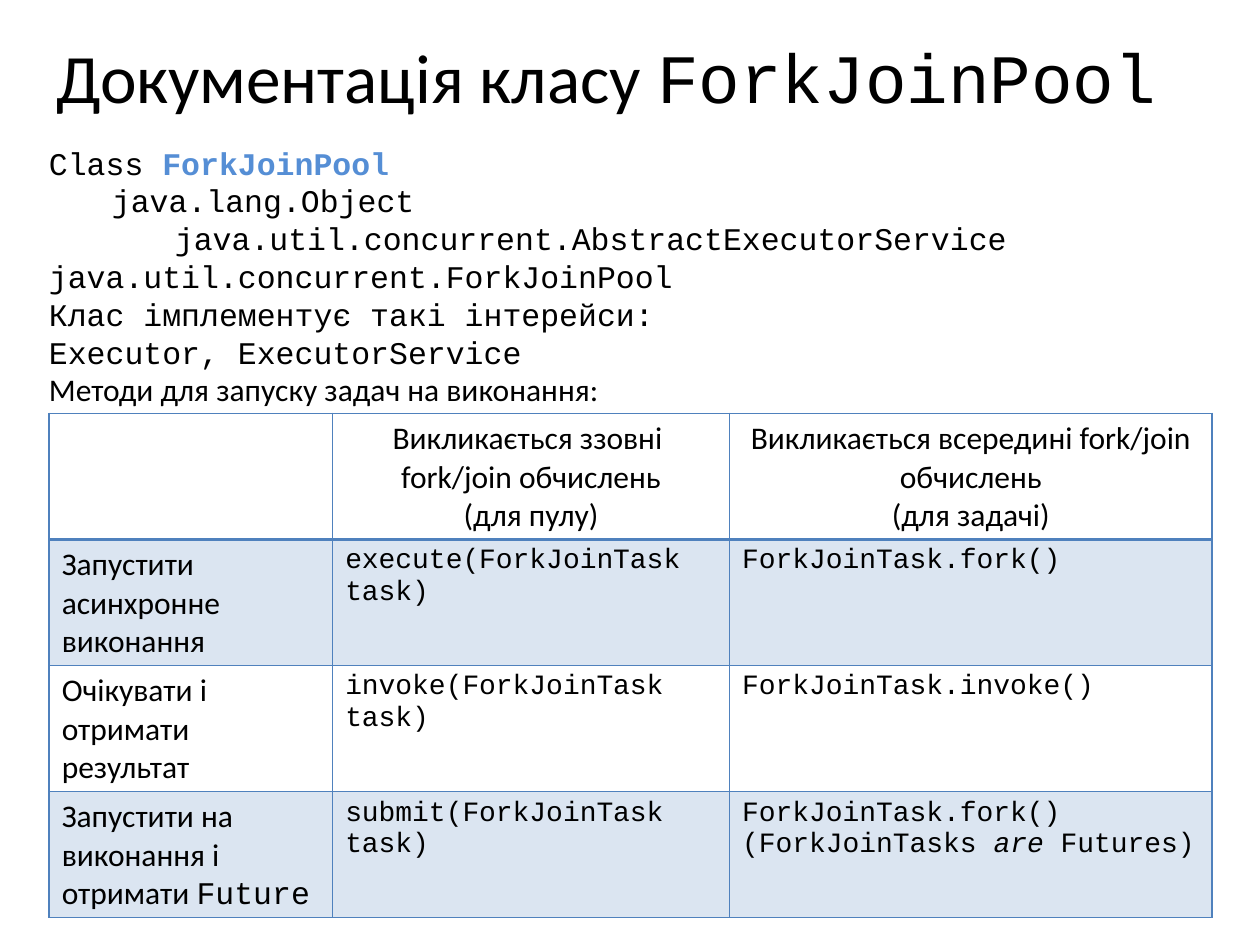
from dataclasses import dataclass

from lxml import etree
from pptx import Presentation
from pptx.dml.color import RGBColor
from pptx.enum import text
from pptx.oxml import ns
from pptx.util import Inches, Pt

SANS, MONO = "Calibri", "Courier New"
BLACK, SKY, BLUE = "000000", "558ED5", "4F81BD"
LEFT, CENTER = text.PP_ALIGN.LEFT, text.PP_ALIGN.CENTER
WIDTH, HEIGHT = 10, 7.5


@dataclass(frozen=True)
class Span:
    words: str
    face: str = MONO
    color: str = BLACK
    bold: bool = False
    italic: bool = False


@dataclass(frozen=True)
class Line:
    spans: tuple[Span, ...]
    size: float = 18
    align: text.PP_ALIGN = LEFT
    pitch: float | None = None


def rgb(color: str) -> RGBColor:
    return RGBColor.from_string(color)


def style(font, span: Span) -> None:
    font.name = span.face
    font.color.rgb = rgb(span.color)
    font.bold = span.bold
    font.italic = span.italic


def write(frame, lines: list[Line]) -> None:
    frame.word_wrap = True
    for index, line in enumerate(lines):
        paragraph = frame.add_paragraph() if index else frame.paragraphs[0]
        paragraph.alignment = line.align
        paragraph.font.size = Pt(line.size)
        if line.pitch:
            paragraph.line_spacing = Pt(line.pitch)
        for span in line.spans:
            run = paragraph.add_run()
            run.text = span.words
            style(paragraph.font if len(line.spans) == 1 else run.font, span)


def write_box(slide, left: float, top: float, width: float, height: float,
              lines: list[Line], anchor=text.MSO_ANCHOR.TOP) -> None:
    box = slide.shapes.add_textbox(*map(Inches, (left, top, width, height)))
    box.text_frame.vertical_anchor = anchor
    write(box.text_frame, lines)


def rule_cell(cell, bottom: float, top: float) -> None:
    properties = cell._tc.get_or_add_tcPr()
    weights = {"lnL": 1, "lnR": 1, "lnT": top, "lnB": bottom}
    for position, (side, weight) in enumerate(weights.items()):
        edge = etree.Element(ns.qn(f"a:{side}"), w=str(Pt(weight)))
        fill = etree.SubElement(edge, ns.qn("a:solidFill"))
        etree.SubElement(fill, ns.qn("a:srgbClr"), val=BLUE)
        properties.insert(position, edge)


def tint_cell(cell, opacity: int) -> None:
    cell.fill.solid()
    cell.fill.fore_color.rgb = rgb(BLUE)
    tint = cell._tc.tcPr.find(".//" + ns.qn("a:srgbClr"))
    etree.SubElement(tint, ns.qn("a:alpha"), val=str(opacity * 1000))


def heading(*rows: str) -> list[Line]:
    return [Line((Span(row, SANS),), align=CENTER) for row in rows]


def task(words: str, code: str = "") -> list[Line]:
    spans = (Span(words, SANS),) + ((Span(code),) if code else ())
    return [Line(spans)]


def call(*spans: Span) -> Line:
    return Line(spans, 16)


def draw_methods(slide, rows: list[list[list[Line]]]) -> None:
    columns = (2.25, 3.15, 3.83)
    frame = slide.shapes.add_table(
        len(rows), len(columns), Inches(0.39), Inches(3.28),
        Inches(sum(columns)), Inches(len(rows)))
    methods = frame.table
    methods.first_row = methods.horz_banding = False
    for column, width in zip(methods.columns, columns):
        column.width = Inches(width)
    for r, row in enumerate(rows):
        methods.rows[r].height = Inches(1)
        for c, lines in enumerate(row):
            cell = methods.cell(r, c)
            write(cell.text_frame, lines)
            if r % 2:
                tint_cell(cell, 20)
            else:
                cell.fill.background()
            rule_cell(cell, bottom=2 if r == 0 else 1, top=2 if r == 1 else 1)


def main() -> None:
    deck = Presentation()
    deck.slide_width, deck.slide_height = Inches(WIDTH), Inches(HEIGHT)
    slide = deck.slides.add_slide(deck.slide_layouts[6])

    title = Line((Span("Документація класу ", SANS), Span("ForkJoinPool")),
                 39.6, CENTER)
    write_box(slide, 0.12, 0.3, 9.38, 0.61, [title], text.MSO_ANCHOR.MIDDLE)

    summary = [
        (Span("Class "), Span("ForkJoinPool", color=SKY, bold=True)),
        (Span("\tjava.lang.Object"),),
        (Span("\t\tjava.util.concurrent.AbstractExecutorService"),),
        (Span("java.util.concurrent.ForkJoinPool"),),
        (Span("Клас імплементує такі інтерейси:"),),
        (Span("Executor, ExecutorService"),),
        (Span("Методи для запуску задач на виконання:", SANS),),
    ]
    write_box(slide, 0.29, 1.09, 9.33, 2.52,
              [Line(spans, pitch=21.6) for spans in summary])

    draw_methods(slide, [
        [[],
         heading("Викликається ззовні ", "fork/join обчислень", "(для пулу)"),
         heading("Викликається всередині fork/join обчислень", "(для задачі)")],
        [task("Запустити асинхронне виконання"),
         [call(Span("execute(ForkJoinTask task)"))],
         [call(Span("ForkJoinTask.fork()"))]],
        [task("Очікувати і отримати результат"),
         [call(Span("invoke(ForkJoinTask task)"))],
         [call(Span("ForkJoinTask.invoke()"))]],
        [task("Запустити на виконання і отримати ", "Future"),
         [call(Span("submit(ForkJoinTask task)"))],
         [call(Span("ForkJoinTask.fork() ")),
          call(Span("(ForkJoinTasks "), Span("are", italic=True),
               Span(" Futures)"))]],
    ])
    deck.save("out.pptx")


if __name__ == "__main__":
    main()
